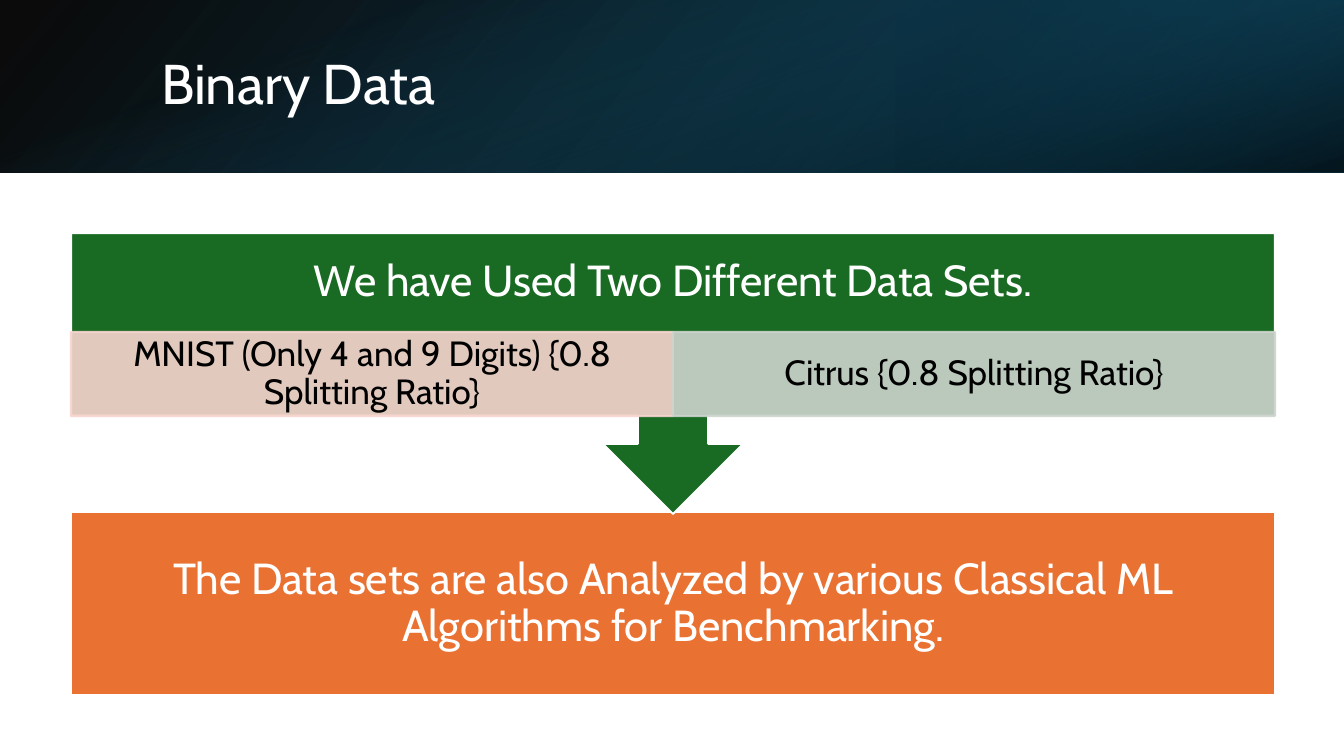
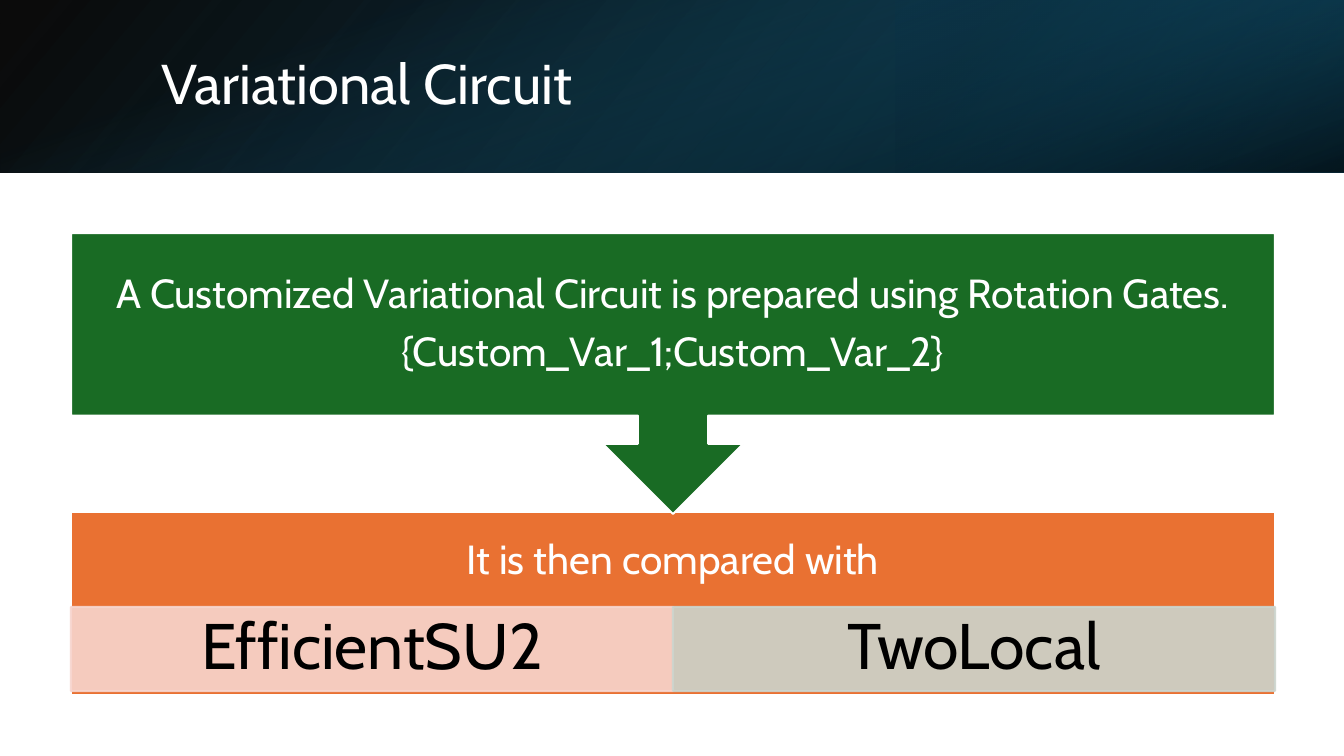
from lxml import etree
from pptx import Presentation
from pptx import util as u
from pptx.dml.color import RGBColor
from pptx.enum import shapes, text
from pptx.oxml import ns

# Colours and type
WHITE = RGBColor(0xFF, 0xFF, 0xFF)
BLACK = RGBColor(0x00, 0x00, 0x00)
GREEN = RGBColor(0x19, 0x6B, 0x24)
ORANGE = RGBColor(0xE9, 0x71, 0x32)
PINK = RGBColor(0xF7, 0xD5, 0xCE)
GREY = RGBColor(0xCC, 0xD4, 0xCD)
TEAL = RGBColor(0x15, 0x60, 0x82)
DEEP_TEAL = RGBColor(0x10, 0x48, 0x62)
NIGHT = RGBColor(0x0B, 0x30, 0x41)
FONT = "Cabin"

# Geometry in px
WIDTH, HEIGHT = 1344, 756
EMU_PER_PX = 12192000 / WIDTH
BAND = 173
TITLE = (151, 38, 1107, 97)
LEFT, BLOCK_WIDTH = 71, 1204
CALLOUT_TOP, CALLOUT_HEIGHT = 233, 281
BOX_TOP, BOX_HEIGHT = 512, 183
HEADING_HEIGHT, CHIP_HEIGHT = 99, 84

# Band layers: place, rotation, mirrored, angle, stops (position, colour, opacity)
BAND_LAYERS = [
    ((0, 0, WIDTH, BAND), 0, True, 140, [(0, BLACK, 96), (100, DEEP_TEAL, 100)]),
    ((896, 0, 448, BAND), 180, True, 320, [(19, NIGHT, 68), (100, TEAL, 79)]),
    (((WIDTH - BAND) / 2, (BAND - WIDTH) / 2, BAND, WIDTH), 90, False, 340,
     [(23, TEAL, 0), (99, BLACK, 74)]),
]

# Each stage: text lines, text height; chips sit on one of the two stages
SLIDES = [
    {
        "title": "Binary Data",
        "size": 31, "inset": 24,
        "callout": (["We have Used Two Different Data Sets."], HEADING_HEIGHT),
        "box": (["The Data sets are also Analyzed by various Classical ML "
                 "Algorithms for Benchmarking."], BOX_HEIGHT),
        "chips": ["MNIST (Only 4 and 9 Digits) {0.8 Splitting Ratio}",
                  "Citrus {0.8 Splitting Ratio}"],
        "chip_top": 332, "chip_size": 25, "chip_insets": (19, 3),
    },
    {
        "title": "Variational Circuit",
        "size": 29, "inset": 23,
        "callout": (["A Customized Variational Circuit is prepared using Rotation Gates.",
                     "{Custom_Var_1;Custom_Var_2}"], BOX_HEIGHT),
        "box": (["It is then compared with"], HEADING_HEIGHT),
        "chips": ["EfficientSU2", "TwoLocal"],
        "chip_top": 607, "chip_size": 46, "chip_insets": (36, 6),
    },
]


def px(*values):
    return [u.Emu(round(value * EMU_PER_PX)) for value in values]


def add_alpha(color_element, percent):
    alpha = etree.SubElement(color_element, ns.qn("a:alpha"))
    alpha.set("val", str(percent * 1000))


def add_block(slide, kind, place, color, line_color=WHITE, opacity=100):
    block = slide.shapes.add_shape(kind, *px(*place))
    block.shadow.inherit = False
    block.fill.solid()
    block.fill.fore_color.rgb = color
    block.line.color.rgb = line_color
    block.line.width = u.Pt(1.5)
    if opacity < 100:
        for color_element in block._element.spPr.iter(ns.qn("a:srgbClr")):
            add_alpha(color_element, opacity)
    return block


def write(shape, lines, size, color, insets):
    frame = shape.text_frame
    frame.word_wrap = True
    frame.vertical_anchor = text.MSO_ANCHOR.MIDDLE
    frame.margin_left = frame.margin_right = px(insets[0])[0]
    frame.margin_top = frame.margin_bottom = px(insets[1])[0]
    for index, line in enumerate(lines):
        para = frame.paragraphs[0] if index == 0 else frame.add_paragraph()
        para.text = line
        para.alignment = text.PP_ALIGN.CENTER
        para.line_spacing = 0.9
        if index:
            para.space_before = u.Pt(10)
        para.font.name, para.font.size = FONT, u.Pt(size)
        para.font.color.rgb = color


def add_layer(slide, place, rotation, mirrored, angle, stops):
    layer = slide.shapes.add_shape(shapes.MSO_SHAPE.RECTANGLE, *px(*place))
    layer.shadow.inherit = False
    layer.line.fill.background()
    layer.rotation = rotation
    properties = layer._element.spPr
    if mirrored:
        properties.find(ns.qn("a:xfrm")).set("flipH", "1")
    gradient = etree.Element(ns.qn("a:gradFill"), rotWithShape="1")
    stop_list = etree.SubElement(gradient, ns.qn("a:gsLst"))
    for position, color, opacity in stops:
        stop = etree.SubElement(stop_list, ns.qn("a:gs"), pos=str(position * 1000))
        add_alpha(etree.SubElement(stop, ns.qn("a:srgbClr"), val=str(color)), opacity)
    etree.SubElement(gradient, ns.qn("a:lin"), ang=str(angle * 60000), scaled="0")
    properties.find(ns.qn("a:prstGeom")).addnext(gradient)
    return layer


def move_band_to_layout(slide, layout):
    """Shapes can only be made on a slide, so the band is made there first."""
    for index, layer_data in enumerate(BAND_LAYERS):
        element = add_layer(slide, *layer_data)._element
        element.nvSpPr.cNvPr.set("id", str(100 + index))
        layout.shapes._spTree.insert(2 + index, element)


def set_title(slide, words):
    title = slide.shapes.title
    title.left, title.top, title.width, title.height = px(*TITLE)
    title.text_frame.vertical_anchor = text.MSO_ANCHOR.MIDDLE
    para = title.text_frame.paragraphs[0]
    para.text = words
    para.alignment = text.PP_ALIGN.LEFT
    para.line_spacing = 0.9
    para.font.name, para.font.size = FONT, u.Pt(40)
    para.font.color.rgb = WHITE


def fill_slide(slide, content):
    set_title(slide, content["title"])

    # Lower box and the callout pointing at it
    add_block(slide, shapes.MSO_SHAPE.RECTANGLE,
              (LEFT, BOX_TOP, BLOCK_WIDTH, BOX_HEIGHT), ORANGE)
    callout = add_block(slide, shapes.MSO_SHAPE.UP_ARROW_CALLOUT,
                        (LEFT, CALLOUT_TOP, BLOCK_WIDTH, CALLOUT_HEIGHT), GREEN)
    callout.rotation = 180
    for stage, top in (("callout", CALLOUT_TOP), ("box", BOX_TOP)):
        lines, height = content[stage]
        label = slide.shapes.add_textbox(*px(LEFT, top, BLOCK_WIDTH, height))
        write(label, lines, content["size"], WHITE, (content["inset"],) * 2)

    # Equal chips side by side
    chip_width = BLOCK_WIDTH / len(content["chips"])
    for index, (words, color) in enumerate(zip(content["chips"], (PINK, GREY))):
        place = (LEFT + index * chip_width, content["chip_top"], chip_width, CHIP_HEIGHT)
        chip = add_block(slide, shapes.MSO_SHAPE.RECTANGLE, place, color, color, 90)
        write(chip, [words], content["chip_size"], BLACK, content["chip_insets"])


def main():
    deck = Presentation()
    deck.slide_width, deck.slide_height = px(WIDTH, HEIGHT)
    layout = deck.slide_layouts[5]
    pages = [deck.slides.add_slide(layout) for _ in SLIDES]
    move_band_to_layout(pages[0], layout)
    for page, content in zip(pages, SLIDES):
        fill_slide(page, content)
    deck.save("out.pptx")


if __name__ == "__main__":
    main()
